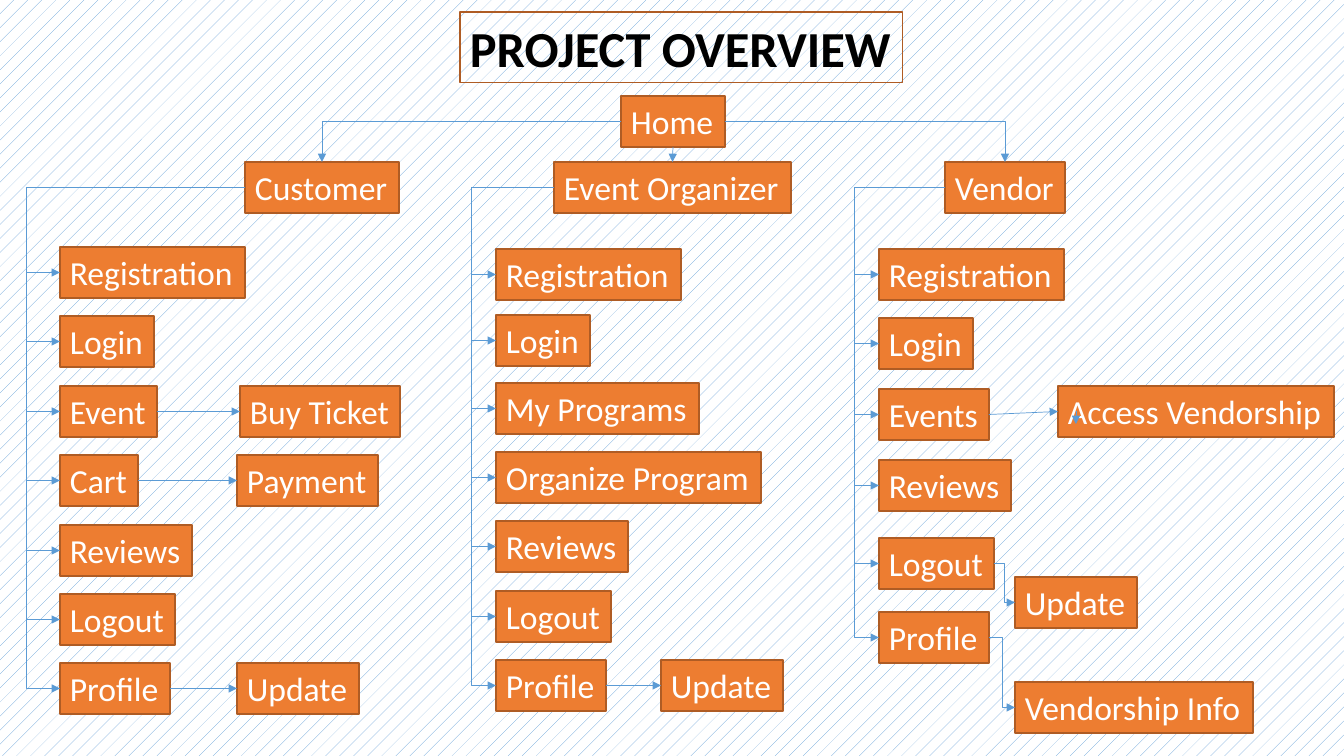
from pptx import Presentation
from pptx import util as u
from pptx.dml.color import RGBColor
from pptx.enum import dml, shapes, text
from pptx.oxml import ns, xmlchemy

PX = 12192000 / 1344
COLORS = {
    "box": "ED7D31",
    "edge": "AF5C24",
    "arrow": "5B9BD5",
    "title": "000000",
    "label": "FFFFFF",
    "page": "FFFFFF",
}
FONT = "Calibri"
BOX_HEIGHT = 51
HEAD_TOP = 162
TOP, LEFT, BOTTOM, RIGHT = range(4)
STRAIGHT = shapes.MSO_CONNECTOR.STRAIGHT
ELBOW = shapes.MSO_CONNECTOR.ELBOW

WIDTHS = {
    "Home": 104, "Customer": 154, "Event Organizer": 237, "Vendor": 120,
    "Registration": 185, "Login": 94, "Event": 97, "Events": 110,
    "Cart": 78, "Reviews": 132, "Logout": 115, "Profile": 110,
    "My Programs": 203, "Organize Program": 265, "Buy Ticket": 160,
    "Payment": 141, "Update": 122, "Access Vendorship": 276,
    "Vendorship Info": 238,
}
BRANCHES = [
    {
        "role": "Customer", "left": 245, "trunk": 26, "menu_left": 60,
        "menu": {"Registration": 247, "Login": 316, "Event": 386, "Cart": 455,
                 "Reviews": 525, "Logout": 594, "Profile": 663},
        "details": [("Event", "Buy Ticket", 240, 386, STRAIGHT),
                    ("Cart", "Payment", 237, 455, STRAIGHT),
                    ("Profile", "Update", 237, 663, STRAIGHT)],
    },
    {
        "role": "Event Organizer", "left": 554, "trunk": 471, "menu_left": 496,
        "menu": {"Registration": 249, "Login": 315, "My Programs": 383,
                 "Organize Program": 452, "Reviews": 521, "Logout": 591,
                 "Profile": 660},
        "details": [("Profile", "Update", 661, 660, STRAIGHT)],
    },
    {
        "role": "Vendor", "left": 945, "trunk": 854, "menu_left": 879,
        "menu": {"Registration": 249, "Login": 318, "Events": 389,
                 "Reviews": 460, "Logout": 538, "Profile": 612},
        "details": [("Events", "Access Vendorship", 1058, 386, STRAIGHT),
                    ("Logout", "Update", 1015, 577, ELBOW),
                    ("Profile", "Vendorship Info", 1015, 682, ELBOW)],
    },
]


def px(length):
    return u.Emu(round(length * PX))


def color(name):
    return RGBColor.from_string(COLORS[name])


def add_box(page, label, left, top, width, height):
    box = page.shapes.add_shape(
        shapes.MSO_SHAPE.RECTANGLE, px(left), px(top), px(width), px(height))
    box.shadow.inherit = False
    box.line.color.rgb = color("edge")
    frame = box.text_frame
    frame.auto_size = text.MSO_AUTO_SIZE.SHAPE_TO_FIT_TEXT
    frame.vertical_anchor = text.MSO_ANCHOR.TOP
    para = frame.paragraphs[0]
    para.alignment = text.PP_ALIGN.LEFT
    span = para.add_run()
    span.text = label
    span.font.name = FONT
    return box, span


def add_title(page):
    box, span = add_box(page, "PROJECT OVERVIEW", 460, 12, 443, 71)
    box.fill.background()
    box.line.width = u.Pt(0.75)
    box.text_frame.word_wrap = True
    span.font.size = u.Pt(36)
    span.font.bold = True
    span.font.color.rgb = color("title")


def add_node(page, label, left, top):
    box, span = add_box(page, label, left, top, WIDTHS[label], BOX_HEIGHT)
    box.fill.solid()
    box.fill.fore_color.rgb = color("box")
    box.line.width = u.Pt(1)
    box.text_frame.word_wrap = False
    span.font.size = u.Pt(24)
    span.font.color.rgb = color("label")
    return box


def add_arrow(page, kind, start=(0, 0), end=(0, 0)):
    arrow = page.shapes.add_connector(kind, *map(px, start + end))
    arrow.line.color.rgb = color("arrow")
    arrow.line.width = u.Pt(0.5)
    head = xmlchemy.OxmlElement("a:tailEnd")
    head.set("type", "triangle")
    arrow.line._get_or_add_ln().append(head)
    arrow._element.spPr.append(xmlchemy.OxmlElement("a:effectLst"))
    return arrow


def link(page, kind, source, source_side, target, target_side):
    arrow = add_arrow(page, kind)
    arrow.begin_connect(source, source_side)
    arrow.end_connect(target, target_side)
    return arrow


def link_corner(page, source, side, target):
    arrow = link(page, ELBOW, source, side, target, TOP)
    arrow._element.spPr.find(ns.qn("a:prstGeom")).set("prst", "bentConnector2")


def link_trunk(page, source, target, trunk):
    arrow = link(page, ELBOW, source, LEFT, target, LEFT)
    bend = (source.left - px(trunk)) / (source.left - target.left)
    geometry = arrow._element.spPr.find(ns.qn("a:prstGeom"))
    guide = xmlchemy.OxmlElement("a:gd")
    guide.set("name", "adj1")
    guide.set("fmla", f"val {round(bend * 100000)}")
    geometry.get_or_add_avLst().append(guide)


def add_branch(page, branch):
    role = add_node(page, branch["role"], branch["left"], HEAD_TOP)
    menu = {label: add_node(page, label, branch["menu_left"], top)
            for label, top in branch["menu"].items()}
    for item in menu.values():
        link_trunk(page, role, item, branch["trunk"])
    for label, detail, left, top, kind in branch["details"]:
        target = add_node(page, detail, left, top)
        link(page, kind, menu[label], RIGHT, target, LEFT)
    return role


def main():
    deck = Presentation()
    deck.slide_width, deck.slide_height = px(1344), px(756)
    page = deck.slides.add_slide(deck.slide_layouts[6])
    backdrop = page.background.fill
    backdrop.patterned()
    backdrop.pattern = dml.MSO_PATTERN.PERCENT_5
    backdrop.fore_color.rgb = color("arrow")
    backdrop.back_color.rgb = color("page")

    add_title(page)
    home = add_node(page, "Home", 621, 96)
    customer, organizer, vendor = [add_branch(page, b) for b in BRANCHES]
    link_corner(page, home, LEFT, customer)
    link(page, STRAIGHT, home, BOTTOM, organizer, TOP)
    link_corner(page, home, RIGHT, vendor)
    add_arrow(page, STRAIGHT, (1076, 411), (1076, 424))
    deck.save("out.pptx")


if __name__ == "__main__":
    main()
